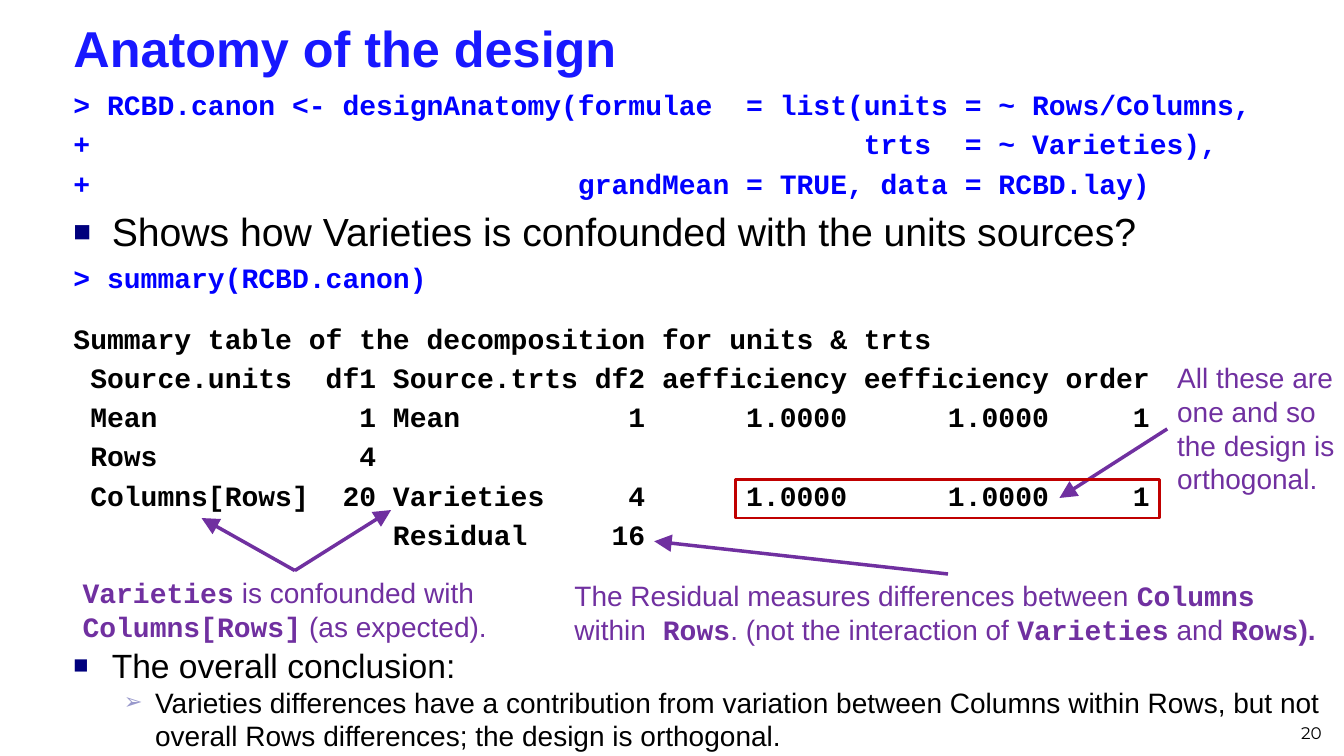
from dataclasses import dataclass

import pptx
import pptx.dml.color
import pptx.enum.shapes
import pptx.enum.text
import pptx.oxml
import pptx.oxml.ns
import pptx.util

WIDTH, HEIGHT = pptx.util.Inches(13.333), pptx.util.Inches(7.5)
ALIGN = pptx.enum.text.PP_ALIGN
ANCHOR = pptx.enum.text.MSO_ANCHOR
SANS, MONO = "Arial", "Courier New"
BLACK, BLUE, PURPLE, RED = "000000", "0000FF", "7030A0", "C00000"


@dataclass(frozen=True)
class Box:
    """Place on the slide, in percent of its width and height."""
    left: float
    top: float
    width: float
    height: float


@dataclass(frozen=True)
class Run:
    """Words that share one font."""
    text: str
    font: str = SANS
    bold: bool = False


@dataclass(frozen=True)
class Bullet:
    """Bullet sign with its colour, size in percent and indents in inches."""
    sign: str
    color: str
    size: int
    margin: float
    hanging: float
    level: int = 0


@dataclass(frozen=True)
class Para:
    """Paragraph of runs with one size and colour."""
    runs: tuple[Run, ...]
    size: float
    color: str
    before: float = 0
    bullet: Bullet | None = None
    align: ALIGN = ALIGN.LEFT


@dataclass(frozen=True)
class Note:
    """Remark with arrows from one side to points in percent of the slide."""
    box: Box
    runs: tuple[Run, ...]
    side: int
    targets: tuple[tuple[float, float], ...]


def across(share: float) -> int:
    """Turn a percentage of the slide width into a length."""
    return round(WIDTH * share / 100)


def down(share: float) -> int:
    """Turn a percentage of the slide height into a length."""
    return round(HEIGHT * share / 100)


def place(box: Box) -> tuple[int, int, int, int]:
    """Give left, top, width and height as lengths."""
    return across(box.left), down(box.top), across(box.width), down(box.height)


def rgb(color: str) -> pptx.dml.color.RGBColor:
    """Turn a hex string into a colour."""
    return pptx.dml.color.RGBColor.from_string(color)


def add_xml(parent, tag: str, **attrs: str):
    """Append a DrawingML element with attributes."""
    element = pptx.oxml.parse_xml(f"<a:{tag} {pptx.oxml.ns.nsdecls('a')}/>")
    for name, value in attrs.items():
        element.set(name, value)
    parent.append(element)
    return element


def add_bullet(p, bullet: Bullet) -> None:
    """Give a paragraph its bullet and hanging indent."""
    p.level = bullet.level
    ppr = p._p.get_or_add_pPr()
    ppr.set("marL", str(pptx.util.Inches(bullet.margin)))
    ppr.set("indent", str(-pptx.util.Inches(bullet.hanging)))
    add_xml(add_xml(ppr, "buClr"), "srgbClr", val=bullet.color)
    add_xml(ppr, "buSzPct", val=str(bullet.size * 1000))
    add_xml(ppr, "buFont", typeface=SANS)
    add_xml(ppr, "buChar", char=bullet.sign)


def set_font(font, run: Run) -> None:
    """Set the typeface and weight of a run or paragraph."""
    font.name, font.bold = run.font, run.bold


def add_text(slide, box: Box, paras: list[Para], anchor: ANCHOR = ANCHOR.TOP):
    """Add a wrapped text box and return it."""
    sp = slide.shapes.add_textbox(*place(box))
    tf = sp.text_frame
    tf.word_wrap = True
    tf.vertical_anchor = anchor
    for i, para in enumerate(paras):
        p = tf.add_paragraph() if i else tf.paragraphs[0]
        if para.bullet:
            add_bullet(p, para.bullet)
        p.alignment = para.align
        p.space_before = pptx.util.Pt(para.before)
        p.font.size = pptx.util.Pt(para.size)
        p.font.color.rgb = rgb(para.color)
        if len(para.runs) == 1:
            set_font(p.font, para.runs[0])
        for run in para.runs:
            r = p.add_run()
            r.text = run.text
            if len(para.runs) > 1:
                set_font(r.font, run)
    return sp


def add_note(slide, note: Note) -> None:
    """Add a remark and its arrows."""
    sp = add_text(slide, note.box, [Para(note.runs, 20, PURPLE)])
    for x, y in note.targets:
        line = slide.shapes.add_connector(
            pptx.enum.shapes.MSO_CONNECTOR.STRAIGHT, 0, 0, across(x), down(y))
        line.begin_connect(sp, note.side)
        line.line.color.rgb = rgb(PURPLE)
        line.line.width = pptx.util.Pt(2.5)
        add_xml(line.line._get_or_add_ln(), "tailEnd",
                type="triangle", w="lg", len="lg")
        add_xml(line._element.spPr, "effectLst")


def add_frame(slide, box: Box) -> None:
    """Add the unfilled red frame."""
    sp = slide.shapes.add_shape(
        pptx.enum.shapes.MSO_SHAPE.RECTANGLE, *place(box))
    sp.shadow.inherit = False
    sp.fill.background()
    sp.line.color.rgb = rgb(RED)
    sp.line.width = pptx.util.Pt(2)


def code(text: str, color: str = BLUE, before: float = 4) -> Para:
    """Make a line of code or output."""
    return Para((Run(text, MONO, True),), 20, color, before)


SQUARE = Bullet("■", "00007D", 75, 0.38, 0.38)
ARROW = Bullet("➢", "9999CC", 80, 0.81, 0.31, level=1)

BODY = [
    code("> RCBD.canon <- designAnatomy(formulae  = list(units = ~ Rows/Columns,", before=0),
    code("+                                              trts  = ~ Varieties),"),
    code("+                             grandMean = TRUE, data = RCBD.lay)"),
    Para((Run("Shows how Varieties is confounded with the units sources?"),),
         28, BLACK, 5.6, SQUARE),
    code("> summary(RCBD.canon)"),
    code("Summary table of the decomposition for units & trts", BLACK, 19.6),
    code(" Source.units  df1 Source.trts df2 aefficiency eefficiency order", BLACK),
    code(" Mean            1 Mean          1      1.0000      1.0000     1", BLACK),
    code(" Rows            4", BLACK),
    code(" Columns[Rows]  20 Varieties     4      1.0000      1.0000     1", BLACK),
    code("                   Residual     16", BLACK),
]
CONCLUSION = [
    Para((Run("The overall conclusion:"),), 24, BLACK, bullet=SQUARE),
    Para((Run("Varieties differences have a contribution from variation between "
              "Columns within Rows, but not overall Rows differences; "
              "the design is orthogonal."),), 20, BLACK, bullet=ARROW),
]
NOTES = [
    Note(Box(5.4, 75.47, 33.08, 10.27),
         (Run("Varieties", MONO, True), Run(" is confounded with "),
          Run("Columns[Rows]", MONO, True), Run(" (as expected).")),
         0, ((29.1, 67.47), (15, 68.53))),
    Note(Box(42, 75.93, 57.08, 10.27),
         (Run("The Residual measures differences between "),
          Run("Columns ", MONO, True), Run("within"), Run(" Rows", MONO, True),
          Run(". (not the interaction of "), Run("Varieties", MONO, True),
          Run(" and "), Run("Rows", MONO, True), Run(").", SANS, True)),
         0, ((48.68, 71.6),)),
    Note(Box(86.85, 47.07, 13.4, 19.33),
         (Run("All these are one and so the design is orthogonal."),),
         1, ((78.83, 65.87),)),
]


def main() -> None:
    """Build and save the slide."""
    prs = pptx.Presentation()
    prs.slide_width, prs.slide_height = WIDTH, HEIGHT
    slide = prs.slides.add_slide(prs.slide_layouts[6])
    add_text(slide, Box(4.73, 2.13, 94.5, 8.4),
             [Para((Run("Anatomy of the design", SANS, True),), 36, "1818FF")],
             ANCHOR.MIDDLE)
    add_text(slide, Box(4.73, 10.93, 95.27, 58.4), BODY)
    add_text(slide, Box(75.75, 92.27, 23.33, 6.67),
             [Para((Run("20", "Montserrat"),), 12, BLACK, align=ALIGN.RIGHT)],
             ANCHOR.BOTTOM)
    for note in NOTES:
        add_note(slide, note)
    add_frame(slide, Box(54.75, 63.47, 31.5, 5.07))
    add_text(slide, Box(4.73, 84.67, 95.27, 15.2), CONCLUSION)
    prs.save("out.pptx")


if __name__ == "__main__":
    main()
